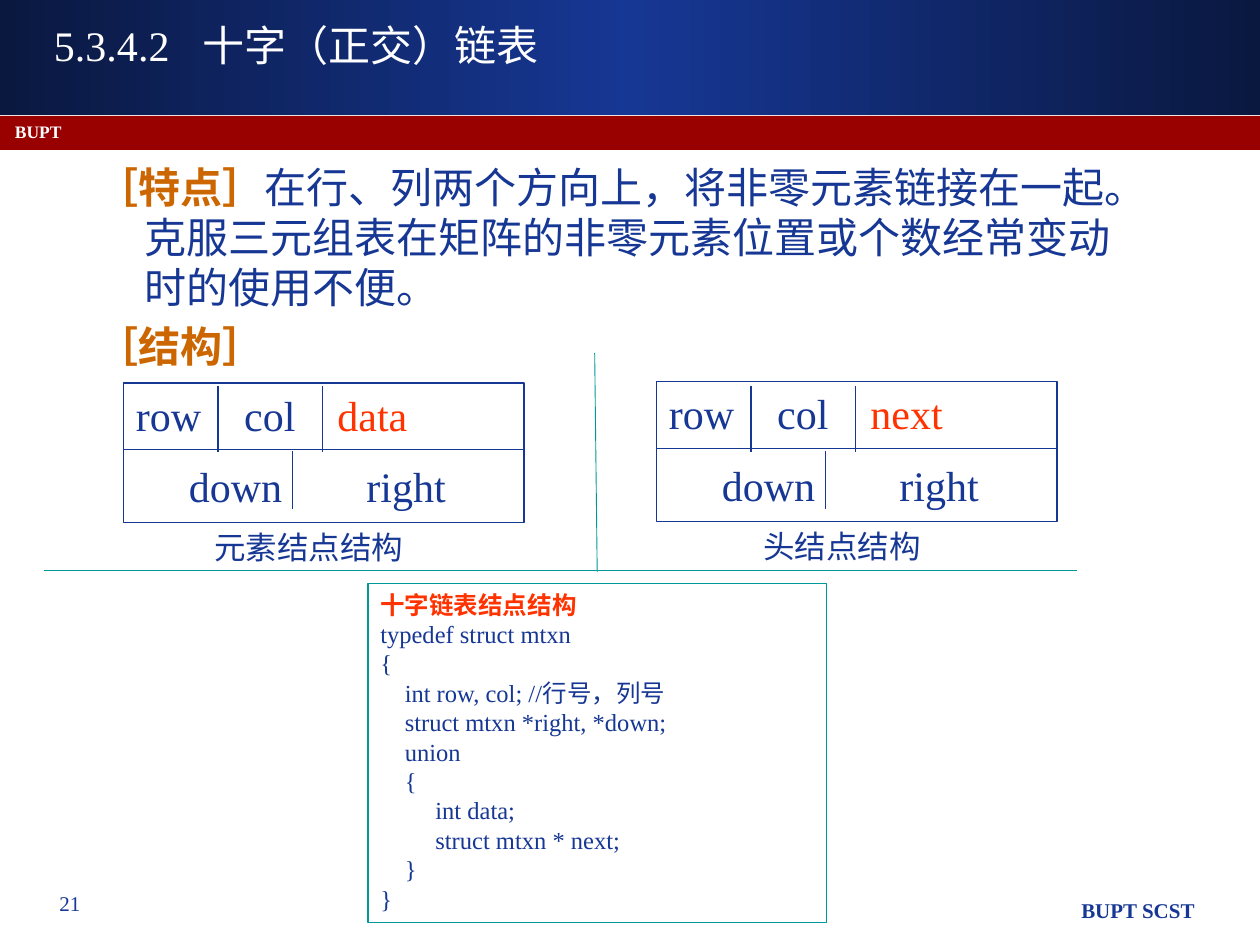
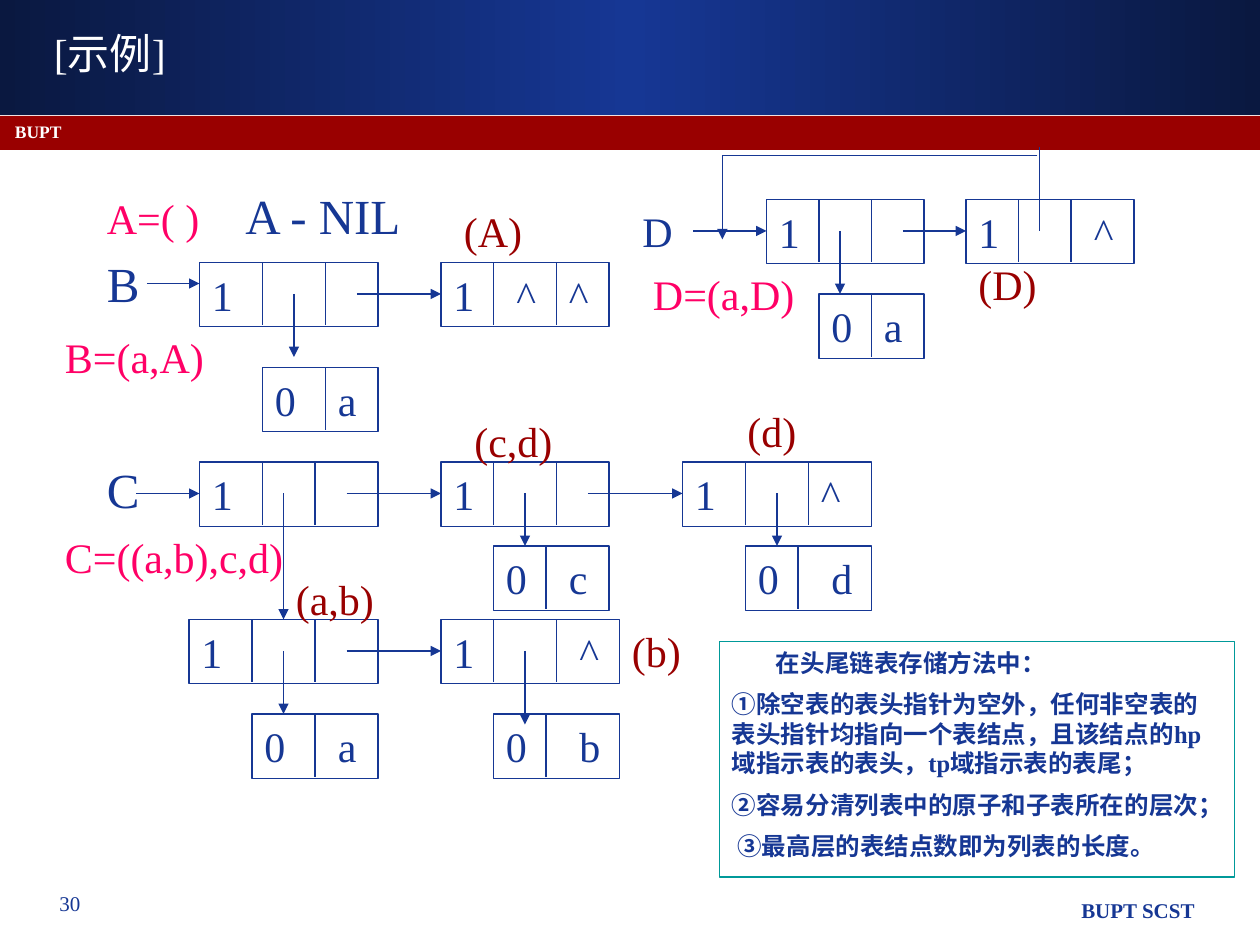
from copy import deepcopy

from lxml import etree
from pptx import Presentation
from pptx.dml.color import RGBColor
from pptx.enum.shapes import MSO_CONNECTOR, MSO_SHAPE
from pptx.enum.text import MSO_ANCHOR, PP_ALIGN
from pptx.oxml.ns import qn
from pptx.util import Inches, Pt

RECT, LINE = MSO_SHAPE.RECTANGLE, MSO_CONNECTOR.STRAIGHT
TOP, MID = MSO_ANCHOR.TOP, MSO_ANCHOR.MIDDLE
LEFT, MIDDLE, RIGHT = PP_ALIGN.LEFT, PP_ALIGN.CENTER, PP_ALIGN.RIGHT

WIDE, TALL = 10, 7.5
UNIT = 1 / 12
LATIN, HAN = "Times New Roman", "Noto Sans CJK SC"
BLUE = RGBColor(0x16, 0x37, 0x94)
NAVY = RGBColor(0x0A, 0x18, 0x40)
RED = RGBColor(0x99, 0x00, 0x00)
WHITE = RGBColor(0xFF, 0xFF, 0xFF)
ORANGE = RGBColor(0xCC, 0x66, 0x00)
SCARLET = RGBColor(0xFF, 0x33, 0x00)
PINK = RGBColor(0xFF, 0x00, 0x66)
TEAL = RGBColor(0x00, 0x99, 0x99)

TRAITS = [
    [("［特点］", ORANGE, True),
     ("在行、列两个方向上，将非零元素链接在一起。"
      "克服三元组表在矩阵的非零元素位置或个数经常变动时的使用不便。", BLUE, False)],
    [("［结构］", ORANGE, True)],
]
RECORDS = [
    (0.98, 3.04, "data", "元素结点结构", 1.6),
    (5.21, 3.03, "next", "头结点结构", 5.96),
]
FIELDS = [(0.86, 1.6), (0.42, 1.83)]
CODE = [
    "typedef struct mtxn",
    "{",
    "    int row, col; //行号，列号",
    "    struct mtxn *right, *down;",
    "    union",
    "    {",
    "         int data;",
    "         struct mtxn * next;",
    "    }",
    "}",
]

# left, top, width, cuts, text, tab stops
NODES = [
    (19, 25, 17, (6, 12), "1", ()),
    (42, 25, 16, (5, 11), "1\t^\t^", (6, 11)),
    (25, 35, 11, (6,), "0\ta", (6,)),
    (19, 44, 17, (6, 11), "1", ()),
    (42, 44, 16, (5, 11), "1", ()),
    (65, 44, 18, (6, 12), "1\t^", (12,)),
    (47, 52, 11, (5,), "0\tc", (6,)),
    (71, 52, 12, (5,), "0\td", (7,)),
    (18, 59, 18, (6, 12), "1", ()),
    (42, 59, 17, (5, 11), "1\t^", (12,)),
    (24, 68, 12, (6,), "0\ta", (7,)),
    (47, 68, 12, (5,), "0\tb", (7,)),
    (73, 19, 15, (5, 10), "1", ()),
    (92, 19, 16, (5, 10), "1\t^", (11,)),
    (78, 28, 10, (5,), "0\ta", (5,)),
]
ACROSS = [(34, 28, 42), (14, 27, 19), (13, 47, 19), (33, 47, 42), (56, 47, 65),
          (33, 62, 42), (66, 22, 73), (86, 22, 92)]
DOWN = [(28, 28, 34), (50, 47, 52), (74, 47, 52), (27, 47, 59), (27, 62, 68),
        (50, 62, 69), (80, 22, 28), (68.8, 14.8, 22.8)]
LOOP = [(99, 22, 99, 14), (98.8, 14.8, 68.8, 14.8)]
LABELS = [
    (60, 19, 6, "D", BLUE), (5, 31, 18, "B=(a,A)", PINK),
    (5, 50, 30, "C=((a,b),c,d)", PINK), (61, 25, 16, "D=(a,D)", PINK),
    (43, 19, 11, "(A)", RED), (92, 24, 12, "(D)", RED),
    (27, 54, 13, "(a,b)", RED), (44, 39, 13, "(c,d)", RED),
    (70, 38, 8, "(d)", RED), (59, 59, 10, "(b)", RED),
]
HEADS = [(1.42, [("A=( )", PINK, False, 24), ("\tA - NIL", BLUE)]),
         (1.96, [("B", BLUE)]), (3.6, [("C", BLUE)])]
NOTES = [
    "在头尾链表存储方法中：",
    "①除空表的表头指针为空外，任何非空表的表头指针均指向一个表结点，"
    "且该结点的hp域指示表的表头，tp域指示表的表尾；",
    "②容易分清列表中的原子和子表所在的层次；",
    " ③最高层的表结点数即为列表的长度。",
]


def style(run, color=BLUE, bold=False, size=24):
    font = run.font
    font.size, font.bold, font.name = Pt(size), bold, LATIN
    font.color.rgb = color
    etree.SubElement(font._element, qn("a:ea")).set("typeface", HAN)


def align_tabs(para, tabs):
    stops = etree.SubElement(para._p.get_or_add_pPr(), qn("a:tabLst"))
    for stop in tabs:
        etree.SubElement(stops, qn("a:tab"), pos=str(Inches(stop)), algn="l")


def write(shape, paras, size=24, anchor=TOP, align=LEFT, gap=0, tabs=(), wrap=True):
    frame = shape.text_frame
    frame.word_wrap, frame.vertical_anchor = wrap, anchor
    for row, parts in enumerate(paras):
        para = frame.add_paragraph() if row else frame.paragraphs[0]
        para.alignment = align
        if row:
            para.space_before = Pt(gap)
        if row < len(tabs):
            align_tabs(para, tabs[row])
        for words, *look in parts:
            run = para.add_run()
            run.text = words
            style(run, *look, **({} if len(look) > 2 else {"size": size}))
    return frame


def label(slide, box, paras, **look):
    return write(slide.shapes.add_textbox(*map(Inches, box)), paras, **look)


def rect(slide, box, edge=None, fill=None):
    shape = slide.shapes.add_shape(RECT, *map(Inches, box))
    shape.shadow.inherit = False
    if fill is None:
        shape.fill.background()
    else:
        shape.fill.solid()
        shape.fill.fore_color.rgb = fill
    if edge is None:
        shape.line.fill.background()
    else:
        shape.line.color.rgb, shape.line.width = edge, Pt(0.75)
    return shape


def rule(slide, ends, color=BLUE, width=0.75, arrow=False):
    line = slide.shapes.add_connector(LINE, *map(Inches, ends))
    line.line.color.rgb, line.line.width = color, Pt(width)
    props = line._element.spPr
    if arrow:
        etree.SubElement(props.find(qn("a:ln")), qn("a:tailEnd"), type="triangle")
    etree.SubElement(props, qn("a:effectLst"))


def scale(*units):
    return [unit * UNIT for unit in units]


def base(deck, title, top, page):
    slide = deck.slides.add_slide(deck.slide_layouts[6])
    fill = rect(slide, (0, 0, WIDE, 0.91), fill=NAVY).fill
    fill.gradient()
    fill.gradient_angle = 0
    first = fill.gradient_stops[0]._gs
    first.addnext(deepcopy(first))
    for stop, (color, place) in zip(fill.gradient_stops, [(NAVY, 0), (BLUE, 0.5), (NAVY, 1)]):
        stop.color.rgb, stop.position = color, place
    rect(slide, (0, 0.92, WIDE, 0.27), fill=RED)
    label(slide, (4.21, 7.07, 5.37, 0.35), [[("BUPT SCST", BLUE, True)]], size=12, align=RIGHT)
    label(slide, (0.12, 7.02, 0.87, 0.35), [[(page,)]], size=12, align=MIDDLE)
    label(slide, (0.02, 0.92, 9.25, 0.25), [[("BUPT", WHITE, True)]], size=10, anchor=MID)
    label(slide, (0.33, top, 9.25, 0.37), [[(title, WHITE)]], anchor=MID, tabs=[(1.18,)])
    return slide


def record(slide, left, top, last, name, start):
    wide, mid = 3.18, top + 0.53
    write(rect(slide, (left, top, wide, 1.11), BLUE),
          [[("row\tcol\t",), (last, SCARLET)], [("\tdown\tright",)]],
          gap=12, tabs=FIELDS)
    rule(slide, (left, mid, left + wide, mid))
    for cut, high, low in [(0.75, 3.06, 3.59), (1.58, 3.06, 3.59), (1.34, 3.58, 4.04)]:
        rule(slide, (left + cut, high, left + cut, low))
    label(slide, (start, top + 1.1, 1.72, 0.4), [[(name,)]], size=18, wrap=False)


def struct(deck):
    slide = base(deck, "5.3.4.2\t十字（正交）链表", 0.17, "21")
    frame = label(slide, (0.67, 1.23, 8.5, 1.8), TRAITS, gap=4.8)
    for para in frame.paragraphs:
        props = para._p.get_or_add_pPr()
        props.set("marL", str(Inches(0.38)))
        props.set("indent", str(-Inches(0.38)))
    for item in RECORDS:
        record(slide, *item)
    rule(slide, (4.72, 2.8, 4.74, 4.54), TEAL, 0.5)
    rule(slide, (0.35, 4.53, 8.55, 4.53), TEAL, 0.5)
    write(rect(slide, (2.92, 4.63, 3.64, 2.69), TEAL),
          [[("十字链表结点结构", SCARLET, True)]] + [[(text,)] for text in CODE], size=14)


def sample(deck):
    slide = base(deck, "[示例]", 0.23, "30")
    for top, parts in HEADS:
        label(slide, (0.75, top, 3, 0.55), [parts], size=28, tabs=[(1.1,)])
    for left, top, wide, cuts, text, tabs in NODES:
        box = rect(slide, scale(left, top, wide, 6.12), BLUE)
        write(box, [[(text,)]], anchor=MID, tabs=[scale(*tabs)])
        for cut in cuts:
            rule(slide, scale(left + cut, top, left + cut, top + 6))
    for start, high, end in ACROSS:
        rule(slide, scale(start, high, end, high), arrow=True)
    for left, start, end in DOWN:
        rule(slide, scale(left, start, left, end), arrow=True)
    for ends in LOOP:
        rule(slide, scale(*ends))
    for left, top, wide, text, color in LABELS:
        label(slide, scale(left, top, wide, 6), [[(text, color)]], anchor=MID)
    frame = write(rect(slide, (5.71, 5.09, 4.09, 1.87), TEAL),
                  [[(text, BLUE, True)] for text in NOTES], size=14, gap=7)
    frame.paragraphs[0]._p.get_or_add_pPr().set("indent", str(Inches(0.35)))


def main():
    """Build the two slides on linked matrix and list storage."""
    deck = Presentation()
    deck.slide_width, deck.slide_height = Inches(WIDE), Inches(TALL)
    struct(deck)
    sample(deck)
    deck.save("out.pptx")


if __name__ == "__main__":
    main()
